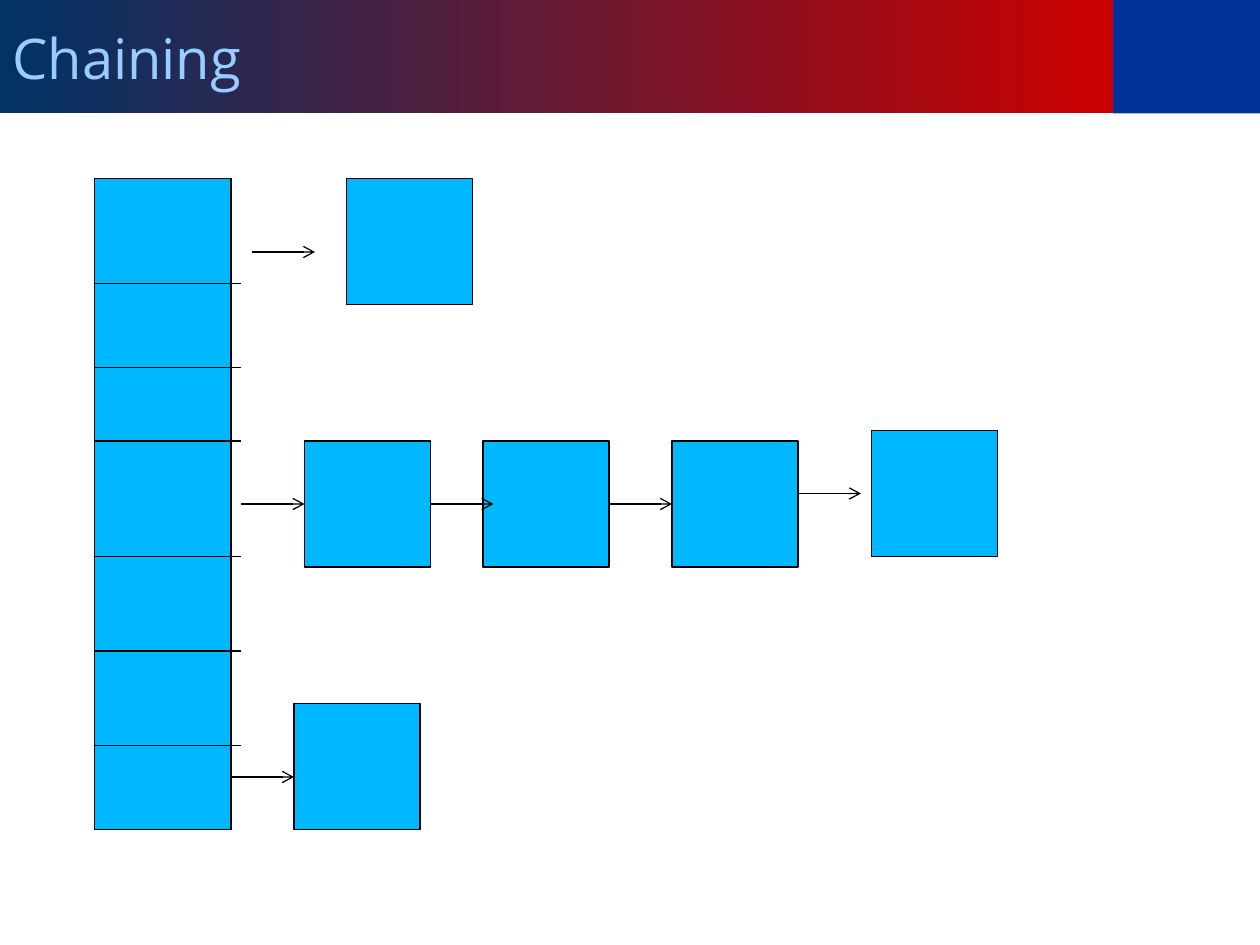
from pptx import Presentation
from pptx.util import Pt
from pptx.dml.color import RGBColor as RGB
from pptx.enum.shapes import MSO_CONNECTOR as LINE, MSO_SHAPE as SHAPE
from pptx.enum.text import MSO_ANCHOR as ANCHOR, PP_ALIGN as ALIGN
from pptx.oxml.ns import qn
from lxml.etree import SubElement

HUES = {
    "navy": "003366", "red": "CC0000", "blue": "003399",
    "sky": "99CCFF", "cyan": "00B8FF", "black": "000000",
}
HUES = {name: RGB.from_string(code) for name, code in HUES.items()}

deck = Presentation()
deck.slide_width, deck.slide_height = Pt(720), Pt(540)
slide = deck.slides.add_slide(deck.slide_layouts[6])
shapes = slide.shapes


def add_box(x, y, w, h, fill, edge=None):
    box = shapes.add_shape(SHAPE.RECTANGLE, Pt(x), Pt(y), Pt(w), Pt(h))
    box.shadow.inherit = False
    box.fill.solid()
    box.fill.fore_color.rgb = HUES[fill]
    if edge:
        box.line.color.rgb = HUES[edge]
        box.line.width = Pt(0.75)
    else:
        box.line.fill.background()
    return box


def add_line(x, y, length, arrow=False):
    line = shapes.add_connector(LINE.STRAIGHT, Pt(x), Pt(y), Pt(x + length), Pt(y))
    line.line.color.rgb = HUES["black"]
    line.line.width = Pt(0.75)
    if arrow:
        SubElement(line.line._get_or_add_ln(), qn("a:tailEnd"), type="arrow")
    SubElement(line._element.spPr, qn("a:effectLst"))


add_box(636, 0, 84, 64.8, "blue")
title = add_box(0, 0, 636, 64.8, "navy")
title.fill.gradient()
title.fill.gradient_angle = 0
for stop, hue, pos in zip(title.fill.gradient_stops, ("navy", "red"), (0, 1)):
    stop.color.rgb = HUES[hue]
    stop.position = pos
frame = title.text_frame
frame.vertical_anchor = ANCHOR.MIDDLE
head = frame.paragraphs[0]
head.text = "Chaining"
head.alignment = ALIGN.LEFT
head.font.name = "Open Sans"
head.font.size = Pt(32)
head.font.color.rgb = HUES["sky"]

add_box(54, 102, 78, 372, "cyan", "black")
for y in (162, 210, 252, 318, 372, 426):
    add_line(54, y, 84)

nodes = [(198, 102), (174, 252), (276, 252), (384, 252), (498, 246), (168, 402)]
for x, y in nodes:
    add_box(x, y, 72, 72, "cyan", "black")

links = [(144, 144), (138, 288), (246, 288), (348, 288), (456, 282), (132, 444)]
for x, y in links:
    add_line(x, y, 36, arrow=True)

deck.save("out.pptx")
